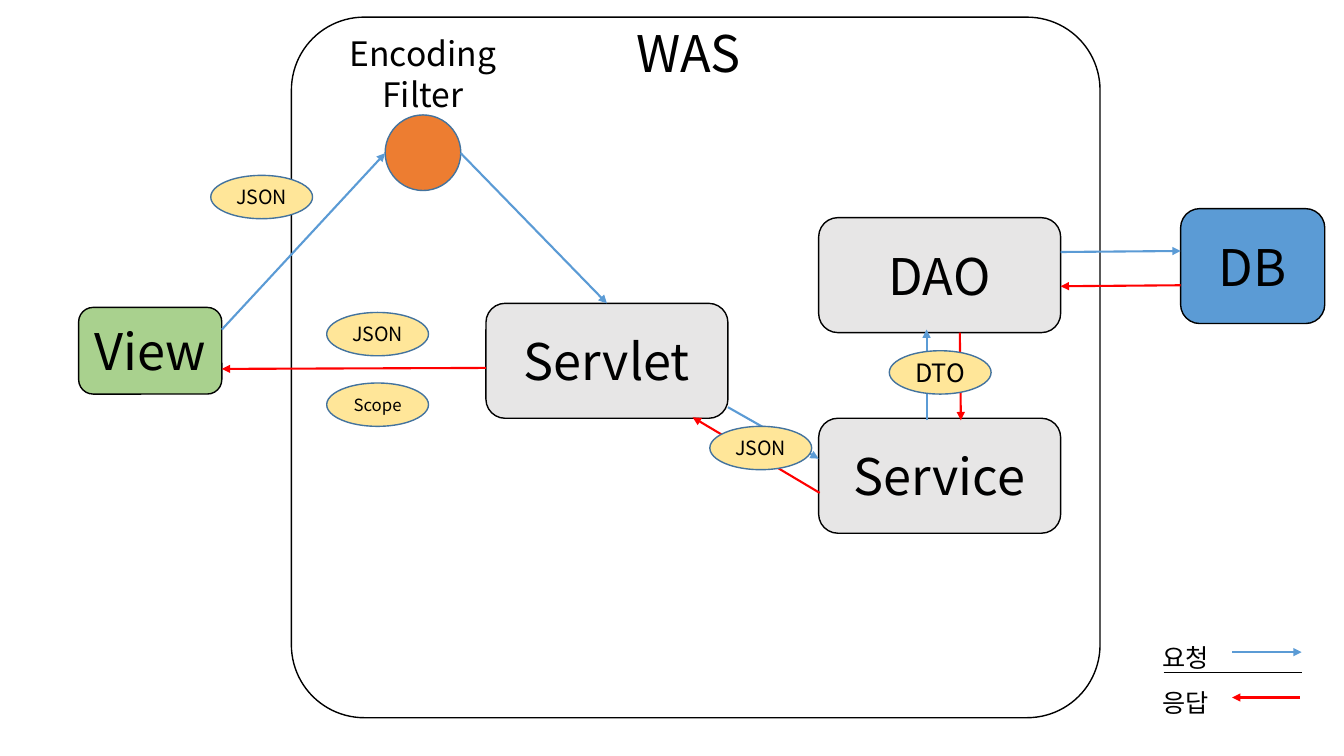
from pptx import Presentation
from pptx.dml.color import RGBColor
from pptx.enum.shapes import MSO_CONNECTOR, MSO_SHAPE
from pptx.enum.text import MSO_ANCHOR, PP_ALIGN
from pptx.oxml.ns import qn
from pptx.util import Inches, Pt
from lxml.etree import SubElement

BLACK = RGBColor(0x00, 0x00, 0x00)
WHITE = RGBColor(0xFF, 0xFF, 0xFF)
GREEN = RGBColor(0xA9, 0xD1, 0x8E)
ORANGE = RGBColor(0xED, 0x7D, 0x31)
GRAY = RGBColor(0xE7, 0xE6, 0xE6)
BLUE = RGBColor(0x5B, 0x9B, 0xD5)
DARK_BLUE = RGBColor(0x43, 0x73, 0x9E)
YELLOW = RGBColor(0xFF, 0xE6, 0x99)
RED = RGBColor(0xFF, 0x00, 0x00)


class Diagram:
    """Holds the style and the current slide."""

    font = "Noto Sans CJK KR"

    def __init__(self, slide):
        """Keep the slide to draw on."""
        self.shapes = slide.shapes

    def set_text(self, tf, lines, size, align=PP_ALIGN.CENTER, spacing=1.0):
        """Fill a text frame with one paragraph per line."""
        for i, line in enumerate(lines):
            p = tf.paragraphs[0] if i == 0 else tf.add_paragraph()
            p.alignment = align
            p.line_spacing = spacing
            r = p.add_run()
            r.text = line
            for name, value in {"name": self.font, "size": Pt(size)}.items():
                setattr(r.font, name, value)
            r.font.color.rgb = BLACK
            SubElement(r.font._element, qn("a:ea"), typeface=self.font)

    def node(self, kind, box, fill, line=BLACK, text=None, size=36, adj=None):
        """Draw a filled, outlined shape with an optional centred label."""
        sp = self.shapes.add_shape(kind, *map(Inches, box))
        sp.shadow.inherit = False
        sp.fill.solid()
        sp.fill.fore_color.rgb = fill
        sp.line.color.rgb = line
        sp.line.width = Pt(1)
        if adj is not None:
            sp.adjustments[0] = adj
        if text:
            tf = sp.text_frame
            style = {"margin_left": 0, "margin_right": 0, "margin_top": 0,
                     "margin_bottom": 0, "word_wrap": True,
                     "vertical_anchor": MSO_ANCHOR.MIDDLE}
            for name, value in style.items():
                setattr(tf, name, value)
            self.set_text(tf, [text], size)

    def label(self, box, lines, size, wrap=True, **style):
        """Place free text."""
        tf = self.shapes.add_textbox(*map(Inches, box)).text_frame
        tf.word_wrap = wrap
        self.set_text(tf, lines, size, **style)

    def line(self, start, end, color, width=1.5, arrow=True):
        """Draw a straight line, with an arrowhead at its end if wanted."""
        cxn = self.shapes.add_connector(
            MSO_CONNECTOR.STRAIGHT, *map(Inches, (*start, *end)))
        cxn.line.color.rgb = color
        cxn.line.width = Pt(width)
        props = cxn._element.spPr
        if arrow:
            SubElement(props.find(qn("a:ln")), qn("a:tailEnd"), type="triangle")
        SubElement(props, qn("a:effectLst"))


prs = Presentation()
prs.slide_width, prs.slide_height = Inches(13.33), Inches(7.5)
d = Diagram(prs.slides.add_slide(prs.slide_layouts[6]))

d.node(MSO_SHAPE.ROUNDED_RECTANGLE, (2.89, 0.17, 8.02, 6.95), WHITE, adj=0.104)
d.label((6.21, 0.17, 1.32, 0.71), ["WAS"], 36, align=PP_ALIGN.LEFT)
d.node(MSO_SHAPE.OVAL, (3.82, 1.14, 0.75, 0.75), ORANGE, DARK_BLUE)
d.label((3.23, 0.28, 1.93, 0.91), ["Encoding", "Filter"], 24)

components = [
    ("View", (0.78, 3.05, 1.42, 0.86), GREEN),
    ("Servlet", (4.82, 3.01, 2.4, 1.14), GRAY),
    ("DB", (11.71, 2.07, 1.43, 1.14), BLUE),
    ("Service", (8.12, 4.15, 2.4, 1.14), GRAY),
    ("DAO", (8.12, 2.16, 2.4, 1.14), GRAY),
]
for name, box, fill in components:
    d.node(MSO_SHAPE.ROUNDED_RECTANGLE, box, fill, text=name)

d.label((11.43, 6.17, 0.8, 1.01), ["요청", "응답"], 18, wrap=False,
        align=PP_ALIGN.LEFT, spacing=1.5)
d.line((11.54, 6.67), (12.91, 6.67), BLACK, width=0.5, arrow=False)

requests = [
    ((2.2, 3.27), (3.82, 1.52)),      # View to filter
    ((4.57, 1.52), (6.02, 3.01)),     # filter to Servlet
    ((7.22, 4.04), (8.12, 4.55)),     # Servlet to Service
    ((9.19, 4.17), (9.19, 3.27)),     # Service to DAO
    ((10.52, 2.5), (11.71, 2.49)),    # DAO to DB
    ((12.22, 6.47), (12.91, 6.47)),   # legend
]
responses = [
    ((11.71, 2.83), (10.52, 2.84)),   # DB to DAO
    ((9.52, 3.3), (9.53, 4.17)),      # DAO to Service
    ((8.13, 4.89), (6.87, 4.14)),     # Service to Servlet
    ((4.82, 3.65), (2.2, 3.66)),      # Servlet to View
    ((12.89, 6.92), (12.22, 6.92)),   # legend
]
for color, arrows in ((BLUE, requests), (RED, responses)):
    for start, end in arrows:
        d.line(start, end, color)

payloads = [
    ("DTO", 8.82, 3.48, 18),
    ("Scope", 3.24, 3.8, 12),
    ("JSON", 7.04, 4.23, 14),
    ("JSON", 3.24, 3.1, 14),
    ("JSON", 2.09, 1.74, 14),
]
for name, left, top, size in payloads:
    d.node(MSO_SHAPE.OVAL, (left, top, 1.01, 0.43), YELLOW, DARK_BLUE, name, size)

prs.save("out.pptx")
